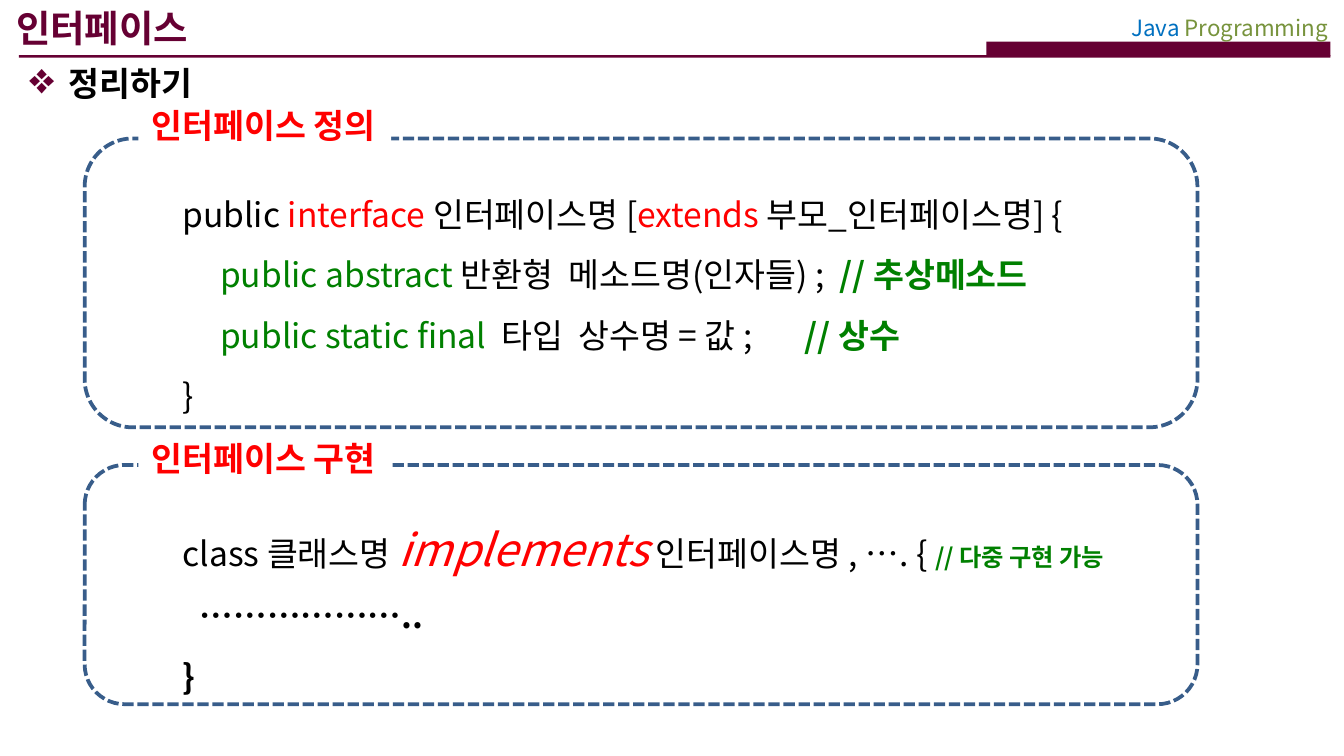
from dataclasses import dataclass

from lxml import etree
from pptx import Presentation
from pptx import util as u
from pptx.dml.color import RGBColor
from pptx.enum import dml, shapes, text
from pptx.oxml.ns import qn


@dataclass(frozen=True)
class Theme:
    font: str = "Noto Sans CJK KR"
    wine: str = "660033"
    black: str = "000000"
    red: str = "FF0000"
    green: str = "008000"
    white: str = "FFFFFF"
    border: str = "385D8A"
    blue: str = "0070C0"
    olive: str = "77933C"
    title: float = 20
    body: float = 18
    keyword: float = 24
    note: float = 13
    header: float = 12


THEME = Theme()


def add_run(paragraph, words, size=THEME.body, color=THEME.black, bold=False,
            italic=False, spacing=0):
    """Add formatted words; spacing is extra points after each character."""
    run = paragraph.add_run()
    run.text = words
    font = run.font
    font.size, font.bold, font.italic = u.Pt(size), bold, italic
    font.color.rgb = RGBColor.from_string(color)
    font.name = THEME.font
    properties = run._r.get_or_add_rPr()
    etree.SubElement(properties, qn("a:ea"), typeface=THEME.font)
    if spacing:
        properties.set("spc", str(spacing * 100))


def set_indent(paragraph, first_line, left=0):
    properties = paragraph._p.get_or_add_pPr()
    properties.set("marL", str(u.Inches(left)))
    properties.set("indent", str(u.Inches(first_line)))


def add_bullet(paragraph, symbol, color):
    properties = paragraph._p.get_or_add_pPr()
    bullet_color = etree.SubElement(properties, qn("a:buClr"))
    etree.SubElement(bullet_color, qn("a:srgbClr"), val=color)
    etree.SubElement(properties, qn("a:buSzPct"), val="130000")
    etree.SubElement(properties, qn("a:buChar"), char=symbol)


class SlideBuilder:
    def __init__(self, slide, theme):
        self.slide = slide
        self.theme = theme

    def title(self, words, box):
        shape = self.slide.shapes.title
        shape.left, shape.top, shape.width, shape.height = map(u.Inches, box)
        frame = shape.text_frame
        frame.margin_left = u.Inches(0.12)
        frame.vertical_anchor = text.MSO_ANCHOR.MIDDLE
        paragraph = frame.paragraphs[0]
        paragraph.alignment = text.PP_ALIGN.LEFT
        add_run(paragraph, words, self.theme.title, self.theme.wine, bold=True)

    def text_box(self, box, parent=None):
        parent = parent or self.slide.shapes
        frame = parent.add_textbox(*map(u.Inches, box)).text_frame
        frame.word_wrap = True
        return frame

    def block(self, box, color, parent=None):
        parent = parent or self.slide.shapes
        shape = parent.add_shape(shapes.MSO_SHAPE.RECTANGLE, *map(u.Inches, box))
        shape.shadow.inherit = False
        shape.fill.solid()
        shape.fill.fore_color.rgb = RGBColor.from_string(color)
        shape.line.fill.background()
        return shape

    def dashed_frame(self, box, parent):
        shape = parent.add_shape(shapes.MSO_SHAPE.ROUNDED_RECTANGLE, *map(u.Inches, box))
        shape.shadow.inherit = False
        shape.fill.background()
        shape.line.color.rgb = RGBColor.from_string(self.theme.border)
        shape.line.width = u.Pt(2)
        shape.line.dash_style = dml.MSO_LINE.SQUARE_DOT

    def code_panel(self, label, label_top, frame_top, code_top, height, lines):
        """Group a dashed frame, its label and code lines of (indent, runs)."""
        group = self.slide.shapes.add_group_shape().shapes
        code = self.text_box((1.26, code_top, 7.53, height), group)
        for index, (indent, runs) in enumerate(lines):
            paragraph = code.add_paragraph() if index else code.paragraphs[0]
            paragraph.line_spacing = 1.5
            set_indent(paragraph, indent)
            for words, style in runs:
                add_run(paragraph, words, **style)
        self.dashed_frame((0.63, frame_top, 8.28, height), group)
        frame = self.block((1.03, label_top, 1.88, 0.4), self.theme.white, group).text_frame
        frame.word_wrap = False
        frame.vertical_anchor = text.MSO_ANCHOR.TOP
        frame.paragraphs[0].alignment = text.PP_ALIGN.LEFT
        add_run(frame.paragraphs[0], label, color=self.theme.red, bold=True)


def main():
    presentation = Presentation()
    presentation.slide_width, presentation.slide_height = u.Inches(10), u.Inches(5.625)
    slide = presentation.slides.add_slide(presentation.slide_layouts[5])
    builder = SlideBuilder(slide, THEME)

    builder.block((7.34, 0.31, 2.56, 0.11), THEME.wine)
    builder.block((0.14, 0.41, 9.76, 0.02), THEME.wine)
    header = builder.text_box((7.93, 0.06, 2.05, 0.3)).paragraphs[0]
    header.alignment = text.PP_ALIGN.RIGHT
    add_run(header, "Java ", THEME.header, THEME.blue)
    add_run(header, "Programming", THEME.header, THEME.olive)
    builder.title("인터페이스", (0, 0, 6.97, 0.41))

    topic = builder.text_box((0.12, 0.42, 9.75, 4.78)).paragraphs[0]
    set_indent(topic, -0.29, left=0.29)
    add_bullet(topic, "❖", THEME.wine)
    add_run(topic, "정리하기", bold=True)

    plain, strong = {}, {"bold": True}
    red, green = {"color": THEME.red}, {"color": THEME.green}
    comment = {"color": THEME.green, "bold": True}
    keyword = {"color": THEME.red, "size": THEME.keyword, "italic": True}
    note = {**comment, "size": THEME.note}
    gap, wide_gap = (" ", {"spacing": 4}), (" ", {"spacing": 24})

    builder.code_panel("인터페이스 정의", 0.73, 1.03, 1.24, 2.15, [
        (0, [("public ", plain), ("interface ", red), ("인터페이스명 [", plain),
             ("extends ", red), ("부모_인터페이스명] {", plain)]),
        (0.28, [("public abstract ", green), ("반환형", plain), gap,
                ("메소드명(인자들) ;", plain), gap, ("// 추상메소드", comment)]),
        (0.28, [("public static final", green), gap, ("타입", plain), gap,
                ("상수명 = 값 ;", plain), wide_gap, ("// 상수", comment)]),
        (0, [("}", plain)]),
    ])
    builder.code_panel("인터페이스 구현", 3.21, 3.46, 3.63, 1.78, [
        (0, [("class 클래스명 ", plain), ("implements", keyword),
             (" 인터페이스명 , …. { ", plain), ("// 다중 구현 가능", note)]),
        (0.13, [("………………..", strong)]),
        (0, [("}", strong)]),
    ])
    presentation.save("out.pptx")


if __name__ == "__main__":
    main()
